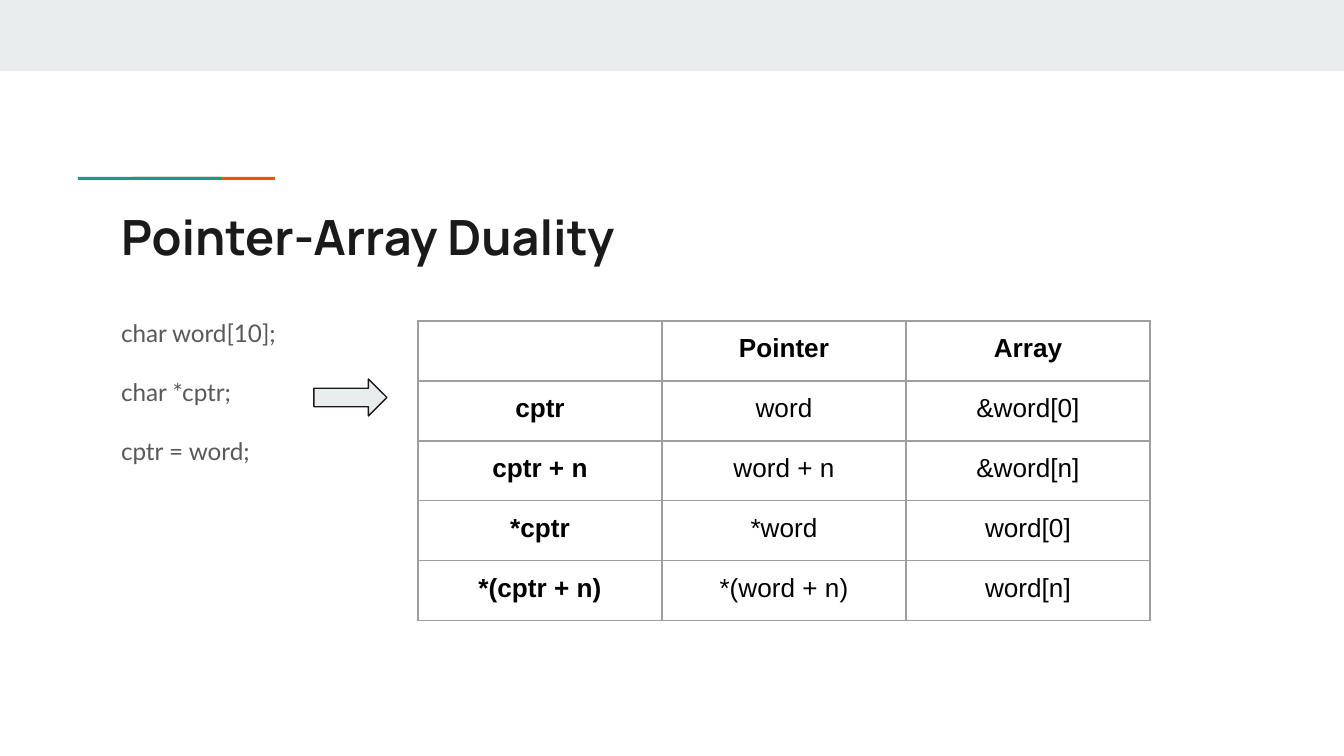
from dataclasses import dataclass

from lxml.etree import SubElement
from pptx import Presentation
from pptx.dml.color import RGBColor
from pptx.enum.shapes import MSO_SHAPE
from pptx.enum.text import MSO_ANCHOR, MSO_AUTO_SIZE, PP_ALIGN
from pptx.oxml.ns import qn
from pptx.util import Pt

EMU_PER_PX = 914400 / 134.4


@dataclass(frozen=True)
class Theme:
    band: str = "E9EDEE"
    teal: str = "1A9988"
    orange: str = "EB5600"
    ink: str = "1A1A1A"
    code: str = "595959"
    cell: str = "000000"
    border: str = "9E9E9E"
    title_font: str = "Manrope"
    code_font: str = "Lato"
    cell_font: str = "Arial"
    title_size: int = 26
    code_size: int = 13
    cell_size: int = 14
    line: float = 0.75


THEME = Theme()
DECLARATIONS = ["char word[10];", "char *cptr;", "cptr = word;"]
DUALITY = [
    ["", "Pointer", "Array"],
    ["cptr", "word", "&word[0]"],
    ["cptr + n", "word + n", "&word[n]"],
    ["*cptr", "*word", "word[0]"],
    ["*(cptr + n)", "*(word + n)", "word[n]"],
]


def px(length):
    return round(length * EMU_PER_PX)


def write_text(paragraph, text, *, font, size, color, bold=False,
               align=PP_ALIGN.LEFT, before=0, after=0):
    paragraph.alignment = align
    paragraph.space_before = Pt(before)
    paragraph.space_after = Pt(after)
    if not text:
        SubElement(paragraph._p, qn("a:endParaRPr"), sz=str(size * 100))
        return
    run = paragraph.add_run()
    run.text = text
    run.font.name = font
    run.font.size = Pt(size)
    run.font.bold = bold
    run.font.color.rgb = RGBColor.from_string(color)


def add_block(slide, preset, left, top, width, height, fill, outline=None):
    block = slide.shapes.add_shape(preset, px(left), px(top), px(width), px(height))
    block.shadow.inherit = False
    block.fill.solid()
    block.fill.fore_color.rgb = RGBColor.from_string(fill)
    if outline:
        block.line.color.rgb = RGBColor.from_string(outline)
        block.line.width = Pt(THEME.line)
    else:
        block.line.fill.background()


def place(holder, left, top, width, height):
    holder.left, holder.top = px(left), px(top)
    holder.width, holder.height = px(width), px(height)
    frame = holder.text_frame
    frame.margin_left = frame.margin_right = px(13)
    frame.margin_top = frame.margin_bottom = px(13)
    frame.vertical_anchor = MSO_ANCHOR.TOP
    frame.auto_size = MSO_AUTO_SIZE.NONE
    frame.word_wrap = True
    return frame


def fill_title(slide, text):
    frame = place(slide.shapes.title, 108, 194, 1130, 79)
    write_text(frame.paragraphs[0], text, font=THEME.title_font,
               size=THEME.title_size, color=THEME.ink, bold=True)


def fill_declarations(slide, lines):
    frame = place(slide.placeholders[1], 108, 305, 1130, 332)
    for index, line in enumerate(lines):
        paragraph = frame.add_paragraph() if index else frame.paragraphs[0]
        write_text(paragraph, line, font=THEME.code_font, size=THEME.code_size,
                   color=THEME.code, before=16 if index else 0,
                   after=16 if index == len(lines) - 1 else 0)
        properties = paragraph._p.get_or_add_pPr()
        properties.set("marL", "0")
        properties.set("indent", "0")
        SubElement(properties, qn("a:buNone"))


def border_cell(cell):
    properties = cell._tc.get_or_add_tcPr()
    for side in ("a:lnL", "a:lnR", "a:lnT", "a:lnB"):
        edge = SubElement(properties, qn(side), w=str(Pt(THEME.line)))
        fill = SubElement(edge, qn("a:solidFill"))
        SubElement(fill, qn("a:srgbClr"), val=THEME.border)


def add_duality_table(slide, rows, left, top, column_width, row_height):
    columns = len(rows[0])
    table = slide.shapes.add_table(
        len(rows), columns, px(left), px(top),
        px(column_width * columns), px(row_height * len(rows))).table
    table.first_row = table.horz_banding = False
    for column in table.columns:
        column.width = px(column_width)
    for row_index, row in enumerate(rows):
        table.rows[row_index].height = px(row_height)
        for column_index, expression in enumerate(row):
            cell = table.cell(row_index, column_index)
            cell.margin_left = cell.margin_right = px(13)
            cell.margin_top = cell.margin_bottom = px(13)
            border_cell(cell)
            cell.fill.background()
            write_text(cell.text_frame.paragraphs[0], expression,
                       font=THEME.cell_font, size=THEME.cell_size,
                       color=THEME.cell, align=PP_ALIGN.CENTER,
                       bold=row_index == 0 or column_index == 0)


def main():
    deck = Presentation()
    deck.slide_width, deck.slide_height = px(1344), px(756)
    slide = deck.slides.add_slide(deck.slide_layouts[1])

    add_block(slide, MSO_SHAPE.RECTANGLE, 0, 0, 1344, 71, THEME.band)
    add_block(slide, MSO_SHAPE.RECTANGLE, 133, 177, 142, 3, THEME.orange)
    add_block(slide, MSO_SHAPE.RECTANGLE, 78, 177, 143, 3, THEME.teal)
    fill_title(slide, "Pointer-Array Duality")
    fill_declarations(slide, DECLARATIONS)
    add_duality_table(slide, DUALITY, 418, 321, 244, 60)
    add_block(slide, MSO_SHAPE.RIGHT_ARROW, 314, 379, 73, 37, THEME.band, THEME.ink)

    deck.save("out.pptx")


if __name__ == "__main__":
    main()
